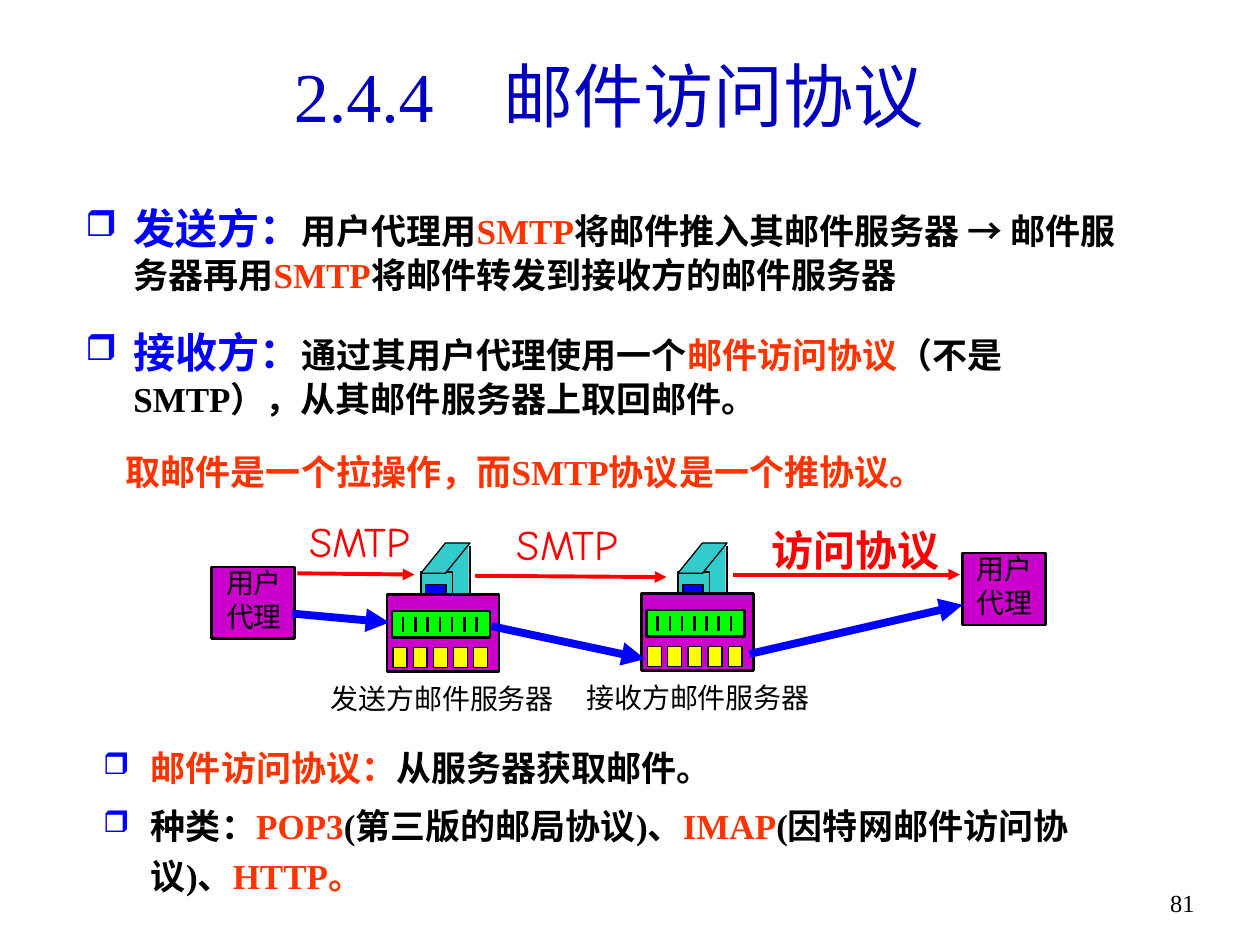
import pptx
import pptx.dml.color
import pptx.enum.shapes
import pptx.enum.text
import pptx.oxml
import pptx.oxml.ns
import pptx.util
from pptx.util import Inches

theme = {
    "title": "0000BF", "blue": "0000FF", "orange": "FF3300", "red": "FF0000",
    "black": "000000", "purple": "CC00CC", "teal": "33CCCC", "green": "00FF00",
    "yellow": "FFFF00", "serif": "Times New Roman", "hand": "Comic Neue",
    "title_size": 40, "lead_size": 24, "body_size": 20, "label_size": 16, "number_size": 14,
}
shapes = pptx.enum.shapes.MSO_SHAPE
align = pptx.enum.text.PP_ALIGN
anchor = pptx.enum.text.MSO_ANCHOR

deck = pptx.Presentation()
deck.slide_width, deck.slide_height = Inches(10), Inches(7.5)
page = deck.slides.add_slide(deck.slide_layouts[6])


def add_text(place, paragraphs, font, wrap=True, bold=False, middle=False, bullets=(), indents=(), **layout):
    box = page.shapes.add_textbox(*map(Inches, place))
    frame = box.text_frame
    frame.word_wrap = wrap
    frame.vertical_anchor = anchor.MIDDLE if middle else anchor.TOP
    for index, runs in enumerate(paragraphs):
        para = frame.paragraphs[0] if index == 0 else frame.add_paragraph()
        for name, value in layout.items():
            if index or name != "space_before":
                setattr(para, name, value)
        properties = para._p.get_or_add_pPr()
        if index < len(indents):
            left, first = indents[index]
            properties.set("marL", str(Inches(left)))
            properties.set("indent", str(Inches(first)))
        if index in bullets:
            for tag in (f'<a:buClr {{}}><a:srgbClr val="{theme["blue"]}"/></a:buClr>',
                        '<a:buSzPct {} val="85000"/>', '<a:buChar {} char="❒"/>'):
                properties.append(pptx.oxml.parse_xml(tag.format(pptx.oxml.ns.nsdecls("a"))))
        for text, size, color in runs:
            span = para.add_run()
            span.text = text
            style = {"name": theme[font], "size": pptx.util.Pt(theme[size]), "bold": bold}
            for name, value in style.items():
                setattr(span.font, name, value)
            span.font.color.rgb = pptx.dml.color.RGBColor.from_string(theme[color])


def add_block(place, fill, line_width, kind=shapes.RECTANGLE):
    block = page.shapes.add_shape(kind, *map(Inches, place))
    block.shadow.inherit = False
    block.fill.solid()
    block.fill.fore_color.rgb = pptx.dml.color.RGBColor.from_string(theme[fill])
    if line_width:
        block.line.color.rgb = pptx.dml.color.RGBColor.from_string(theme["black"])
        block.line.width = pptx.util.Pt(line_width)
    else:
        block.line.fill.background()
    return block


add_text((9.08, 7, 0.5, 0.5), [[("81", "number_size", "black")]], "serif", alignment=align.RIGHT)
add_text((0.58, 0.25, 8.5, 1), [[("2.4.4\u3000邮件访问协议".replace("\u3000", "　"), "title_size", "title")]],
         "serif", middle=True, alignment=align.CENTER)

add_text((0.58, 1.56, 8.5, 2.53), [
    [("发送方：", "lead_size", "blue"), ("用户代理用", "body_size", "black"),
     ("SMTP", "body_size", "orange"), ("将邮件推入其邮件服务器 → 邮件服务器再用", "body_size", "black"),
     ("SMTP", "body_size", "orange"), ("将邮件转发到接收方的邮件服务器", "body_size", "black")],
    [("接收方：", "lead_size", "blue"), ("通过其用户代理使用一个", "body_size", "black"),
     ("邮件访问协议", "body_size", "orange"),
     ("（不是SMTP），从其邮件服务器上取回邮件。", "body_size", "black")],
    [("取邮件是一个拉操作，而SMTP协议是一个推协议。", "body_size", "orange")],
], "serif", bold=True, bullets=(0, 1), indents=((0.38, -0.38), (0.38, -0.38), (0.32, 0)),
    space_before=pptx.util.Pt(12), space_after=pptx.util.Pt(6))

add_text((0.72, 5.81, 8.5, 1.38), [
    [("邮件访问协议：", "body_size", "orange"), ("从服务器获取邮件。", "body_size", "black")],
    [("种类：", "body_size", "black"), ("POP3", "body_size", "orange"),
     ("(第三版的邮局协议)、", "body_size", "black"), ("IMAP", "body_size", "orange"),
     ("(因特网邮件访问协议)、", "body_size", "black"), ("HTTP。", "body_size", "orange")],
], "serif", bold=True, bullets=(0, 1), indents=((0.38, -0.38),) * 2,
    line_spacing=1.2, space_before=pptx.util.Pt(4))

for left, top in ((1.68, 4.5), (7.64, 4.39)):
    add_block((left, top, 0.66, 0.57), "purple", 1.5)
    add_text((left + 0.01, top - 0.06, 0.65, 0.64),
             [[(word, "label_size", "black")] for word in ("用户", "代理")],
             "hand", wrap=False, alignment=align.CENTER)

lines = []
for left, top, tower, name, name_left in ((3.07, 4.72, 3.34, "发送方邮件服务器", 2.52),
                                          (5.09, 4.71, 5.38, "接收方邮件服务器", 4.55)):
    add_block((tower + 0.2, 4.32, 0.18, 0.78), "teal", 0)
    add_block((tower, 4.54, 0.25, 0.78), "teal", 0.75)
    roof = add_block((tower, 4.31, 0.39, 0.24), "teal", 0.75, shapes.PARALLELOGRAM)
    roof.adjustments[0] = 0.81
    add_block((tower + 0.04, 4.64, 0.16, 0.45), "blue", 0.75)
    add_block((left, top, 0.89, 0.61), "purple", 1.5)
    add_block((left + 0.04, top + 0.13, 0.78, 0.21), "green", 1.5)
    for column in range(5):
        add_block((left + 0.05 + 0.16 * column, top + 0.42, 0.11, 0.16), "yellow", 0.75)
    add_text((name_left, top + 0.64, 1.98, 0.37), [[(name, "label_size", "black")]],
             "hand", wrap=False, alignment=align.CENTER)
    lines.append((tower + 0.39, 4.33, tower + 0.39, top, "black", 0.75, False))
    for column in range(7):
        tick = left + 0.13 + 0.097 * column
        lines.append((tick, top + 0.18, tick, top + 0.3, "black", 1.5, False))

for text, left, top, width, bold in (("SMTP", 2.29, 4.04, 1.13, False),
                                     ("SMTP", 3.94, 4.07, 1.13, False),
                                     ("访问协议", 6.02, 4.11, 1.54, True)):
    add_text((left, top, width, 0.5), [[(text, "lead_size", "red")]],
             "hand", wrap=False, bold=bold, alignment=align.CENTER)

lines += [
    (2.36, 4.55, 3.29, 4.56, "red", 2.25, True),
    (3.77, 4.57, 5.29, 4.58, "red", 2.25, True),
    (5.82, 4.56, 7.62, 4.56, "red", 2.25, True),
    (2.32, 4.87, 3.09, 4.94, "blue", 4.5, True),
    (3.9, 4.97, 5.12, 5.23, "blue", 4.5, True),
    (5.95, 5.19, 7.64, 4.8, "blue", 4.5, True),
]
for *ends, color, width, arrow in lines:
    line = page.shapes.add_connector(pptx.enum.shapes.MSO_CONNECTOR.STRAIGHT, *map(Inches, ends))
    line.line.color.rgb = pptx.dml.color.RGBColor.from_string(theme[color])
    line.line.width = pptx.util.Pt(width)
    if arrow:
        line.line._get_or_add_ln().append(
            pptx.oxml.parse_xml(f'<a:tailEnd {pptx.oxml.ns.nsdecls("a")} type="triangle"/>'))
    line._element.spPr.append(pptx.oxml.parse_xml(f'<a:effectLst {pptx.oxml.ns.nsdecls("a")}/>'))

deck.save("out.pptx")
